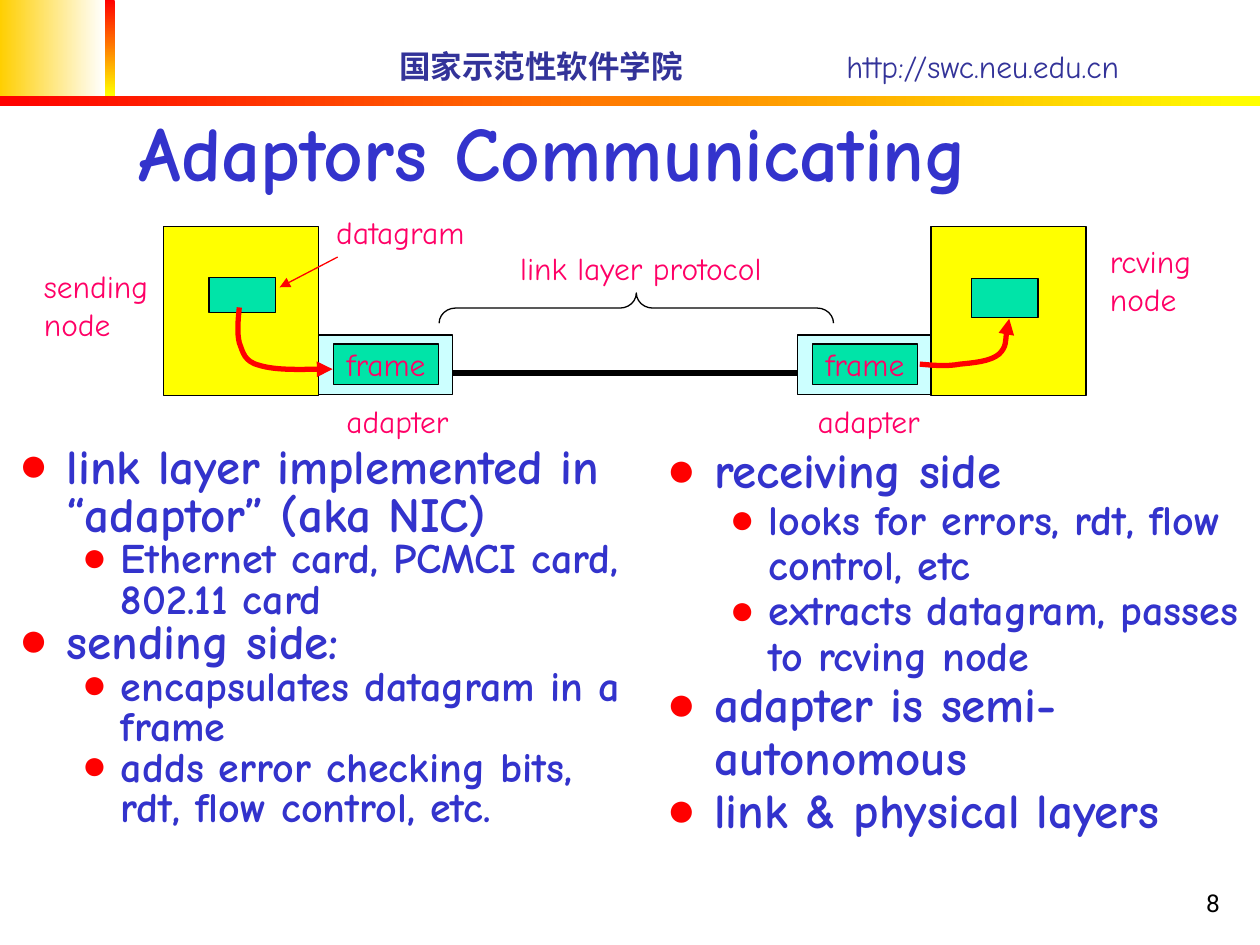
from lxml import etree
from pptx import Presentation
from pptx.dml.color import RGBColor
from pptx.enum.shapes import MSO_CONNECTOR, MSO_SHAPE
from pptx.enum.text import MSO_ANCHOR, MSO_AUTO_SIZE, PP_ALIGN
from pptx.oxml.ns import qn
from pptx.util import Inches, Pt

RECTANGLE, BRACE = MSO_SHAPE.RECTANGLE, MSO_SHAPE.LEFT_BRACE
STRAIGHT = MSO_CONNECTOR.STRAIGHT
LEFT, CENTER, RIGHT = PP_ALIGN.LEFT, PP_ALIGN.CENTER, PP_ALIGN.RIGHT
TOP, MIDDLE, BOTTOM = MSO_ANCHOR.TOP, MSO_ANCHOR.MIDDLE, MSO_ANCHOR.BOTTOM
FIXED = MSO_AUTO_SIZE.NONE
FONT = "Comic Neue"
BLUE, NAVY, PINK, RED = "3333CC", "333399", "FF0066", "FF0000"
YELLOW, GREEN, CYAN, BLACK, GOLD = "FFFF00", "00E4A8", "CCFFFF", "000000", "FFCF01"

LEFT_POINTS = [
    (0, "link layer implemented in “adaptor” (aka NIC)"),
    (1, "Ethernet card, PCMCI card, 802.11 card"),
    (0, "sending side:"),
    (1, "encapsulates datagram in a frame"),
    (1, "adds error checking bits, rdt, flow control, etc."),
]
RIGHT_POINTS = [
    (0, "receiving side"),
    (1, "looks for errors, rdt, flow control, etc"),
    (1, "extracts datagram, passes to rcving node"),
    (0, "adapter is semi-autonomous"),
    (0, "link & physical layers"),
]
SEND_CURVE = [(1.9, 2.44), (1.89, 2.54), (1.88, 2.64), (1.9, 2.72), (1.93, 2.8),
              (1.94, 2.87), (2.06, 2.9), (2.19, 2.94), (2.54, 2.93), (2.64, 2.93)]
RECEIVE_CURVE = [(7.3, 2.89), (7.41, 2.9), (7.51, 2.91), (7.62, 2.89), (7.72, 2.88),
                 (7.86, 2.87), (7.93, 2.81), (7.99, 2.75), (7.99, 2.58), (8.01, 2.53)]


def color(value):
    """Turn a hex string into a colour."""
    return RGBColor.from_string(value)


def inches(box):
    """Turn a tuple of numbers into lengths."""
    return [Inches(value) for value in box]


def add_span(para, text, size, ink, bold=False, font=FONT):
    """Add one formatted run to a paragraph."""
    span = para.add_run()
    span.text = text
    span.font.name, span.font.size = font, Pt(size)
    span.font.bold, span.font.color.rgb = bold, color(ink)


def add_text(page, box, lines, size=18, ink=PINK, font=FONT, align=LEFT, anchor=TOP):
    """Add an unwrapped text box with one paragraph per line."""
    frame = page.shapes.add_textbox(*inches(box)).text_frame
    frame.word_wrap, frame.vertical_anchor = False, anchor
    for index, line in enumerate(lines):
        para = frame.add_paragraph() if index else frame.paragraphs[0]
        para.alignment = align
        add_span(para, line, size, ink, font=font)


def add_box(page, box, fill, text=None):
    """Add an outlined rectangle with an optional centred label."""
    shape = page.shapes.add_shape(RECTANGLE, *inches(box))
    shape.shadow.inherit = False
    shape.fill.solid()
    shape.fill.fore_color.rgb = color(fill)
    shape.line.color.rgb, shape.line.width = color(BLACK), Pt(0.75)
    if text:
        shape.text_frame.word_wrap = False
        shape.text_frame.vertical_anchor = MIDDLE
        para = shape.text_frame.paragraphs[0]
        para.alignment = CENTER
        add_span(para, text, 18, PINK)


def add_gradient(page, box, start, end, angle=0):
    """Add a borderless bar that fades between two colours."""
    bar = page.shapes.add_shape(RECTANGLE, *inches(box))
    bar.shadow.inherit = False
    bar.line.fill.background()
    bar.fill.gradient()
    bar.fill.gradient_angle = angle
    for stop, value in zip(bar.fill.gradient_stops, (start, end)):
        stop.color.rgb = color(value)


def add_arrowhead(line):
    """Put a triangle at the end of a line."""
    etree.SubElement(line.line._get_or_add_ln(), qn("a:tailEnd"), type="triangle")


def add_line(page, start, end, ink, width):
    """Add a straight line without a shadow."""
    line = page.shapes.add_connector(STRAIGHT, *inches(start + end))
    line.line.color.rgb, line.line.width = color(ink), Pt(width)
    etree.SubElement(line._element.spPr, qn("a:effectLst"))
    return line


def add_curved_arrow(page, points):
    """Add a red arrow along cubic curves given by their control points."""
    builder = page.shapes.build_freeform(*inches(points[0]), scale=1.0)
    builder.add_line_segments([inches(point) for point in points[1:]], close=False)
    arrow = builder.convert_to_shape()
    arrow.shadow.inherit = False
    arrow.fill.background()
    arrow.line.color.rgb, arrow.line.width = color(RED), Pt(3)
    add_arrowhead(arrow)
    segments = list(arrow._element.iter(qn("a:lnTo")))
    outline = segments[0].getparent()
    for start in range(0, len(segments), 3):
        curve = etree.SubElement(outline, qn("a:cubicBezTo"))
        for segment in segments[start:start + 3]:
            curve.append(segment[0])
            outline.remove(segment)


def add_header(page):
    """Add the coloured bars and the school line at the top."""
    add_gradient(page, (0, 0, 0.83, 0.76), GOLD, "FFFFFF")
    add_gradient(page, (0.83, 0, 0.08, 0.76), RED, YELLOW, 270)
    add_gradient(page, (0, 0.76, 10, 0.08), RED, YELLOW)
    frame = page.shapes.add_textbox(*inches((3.07, 0.32, 6.7, 0.4))).text_frame
    frame.word_wrap, frame.vertical_anchor = True, MIDDLE
    para = frame.paragraphs[0]
    tabs = etree.SubElement(para._p.get_or_add_pPr(), qn("a:tabLst"))
    etree.SubElement(tabs, qn("a:tab"), pos=str(Inches(3.55)), algn="l")
    add_span(para, "国家示范性软件学院", 18, NAVY, True)
    add_span(para, "\thttp://swc.neu.edu.cn", 18, NAVY)


def place(holder, box, anchor):
    """Move a placeholder and return its text frame."""
    holder.left, holder.top, holder.width, holder.height = inches(box)
    frame = holder.text_frame
    frame.auto_size, frame.word_wrap, frame.vertical_anchor = FIXED, True, anchor
    return frame


def fill_title(holder, box, text):
    """Write the slide title."""
    para = place(holder, box, BOTTOM).paragraphs[0]
    para.alignment = LEFT
    add_span(para, text, 44, BLUE, True)


def fill_list(holder, box, points, spacing):
    """Write a two-level list with red bullets."""
    frame = place(holder, box, TOP)
    for index, (level, text) in enumerate(points):
        para = frame.add_paragraph() if index else frame.paragraphs[0]
        margin, hanging = ((0.38, 0.38), (0.81, 0.31))[level]
        properties = para._p.get_or_add_pPr()
        properties.set("marL", str(Inches(margin)))
        properties.set("indent", str(-Inches(hanging)))
        tint = etree.SubElement(properties, qn("a:buClr"))
        etree.SubElement(tint, qn("a:srgbClr"), val=RED)
        etree.SubElement(properties, qn("a:buChar"), char="●")
        para.level, para.line_spacing, para.space_before = level, spacing, Pt(0)
        add_span(para, text, (28, 24)[level], BLUE, True)


def add_adapter(page, left, top):
    """Add an adapter that holds a frame, with its caption below."""
    add_box(page, (left, top, 1.06, 0.47), CYAN)
    add_box(page, (left + 0.12, top + 0.07, 0.83, 0.32), GREEN, "frame")


def add_diagram(page):
    """Draw the two nodes, their adapters and the link between them."""
    add_line(page, (3.57, 2.96), (6.34, 2.96), BLACK, 3)
    for left in (1.3, 7.39):
        add_box(page, (left, 1.8, 1.23, 1.34), YELLOW)
    add_box(page, (1.66, 2.2, 0.53, 0.28), GREEN)
    add_box(page, (7.71, 2.21, 0.53, 0.31), GREEN)
    for left in (2.53, 6.33):
        add_adapter(page, left, 2.66)
    add_arrowhead(add_line(page, (2.68, 2.04), (2.22, 2.28), RED, 0.75))
    add_curved_arrow(page, SEND_CURVE)
    add_curved_arrow(page, RECEIVE_CURVE)
    brace = page.shapes.add_shape(BRACE, *inches((4.93, 0.88, 0.24, 3.13)))
    brace.shadow.inherit = False
    brace.rotation, brace.adjustments[0] = 90, 0.54
    brace.fill.background()
    brace.line.color.rgb, brace.line.width = color(BLACK), Pt(0.75)
    add_text(page, (0.25, 2.07, 1.03, 0.7), ["sending", "node"])
    add_text(page, (8.71, 1.87, 0.85, 0.7), ["rcving", "node"])
    add_text(page, (2.57, 1.64, 1.23, 0.4), ["datagram"])
    add_text(page, (4.03, 1.93, 2.13, 0.4), ["link layer protocol"])
    for left in (2.65, 6.39):
        add_text(page, (left, 3.14, 1.02, 0.4), ["adapter"])


def main():
    """Build the slide and save it."""
    deck = Presentation()
    deck.slide_width, deck.slide_height = Inches(10), Inches(7.5)
    page = deck.slides.add_slide(deck.slide_layouts[3])
    title, left_list, right_list = page.placeholders
    add_header(page)
    fill_title(title, (1, 0.32, 8.52, 1.29), "Adaptors Communicating")
    fill_list(left_list, (0.05, 3.5, 5.13, 3.31), LEFT_POINTS, 0.8)
    fill_list(right_list, (5.19, 3.49, 4.96, 3.27), RIGHT_POINTS, 0.9)
    add_diagram(page)
    add_text(page, (7.7, 6.83, 2.08, 0.5), ["8"], 14, BLACK, "Roboto", RIGHT, BOTTOM)
    deck.save("out.pptx")


if __name__ == "__main__":
    main()
